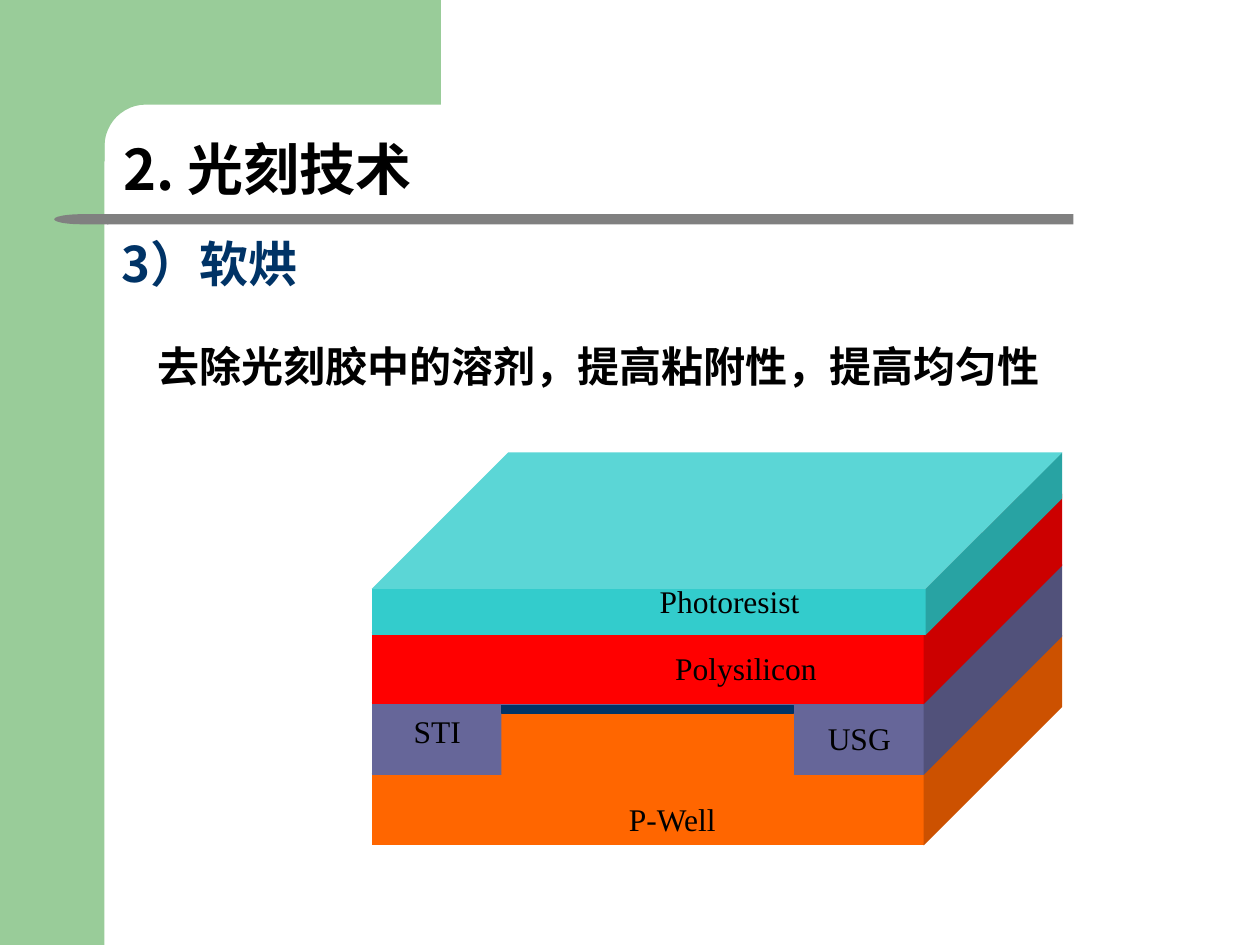
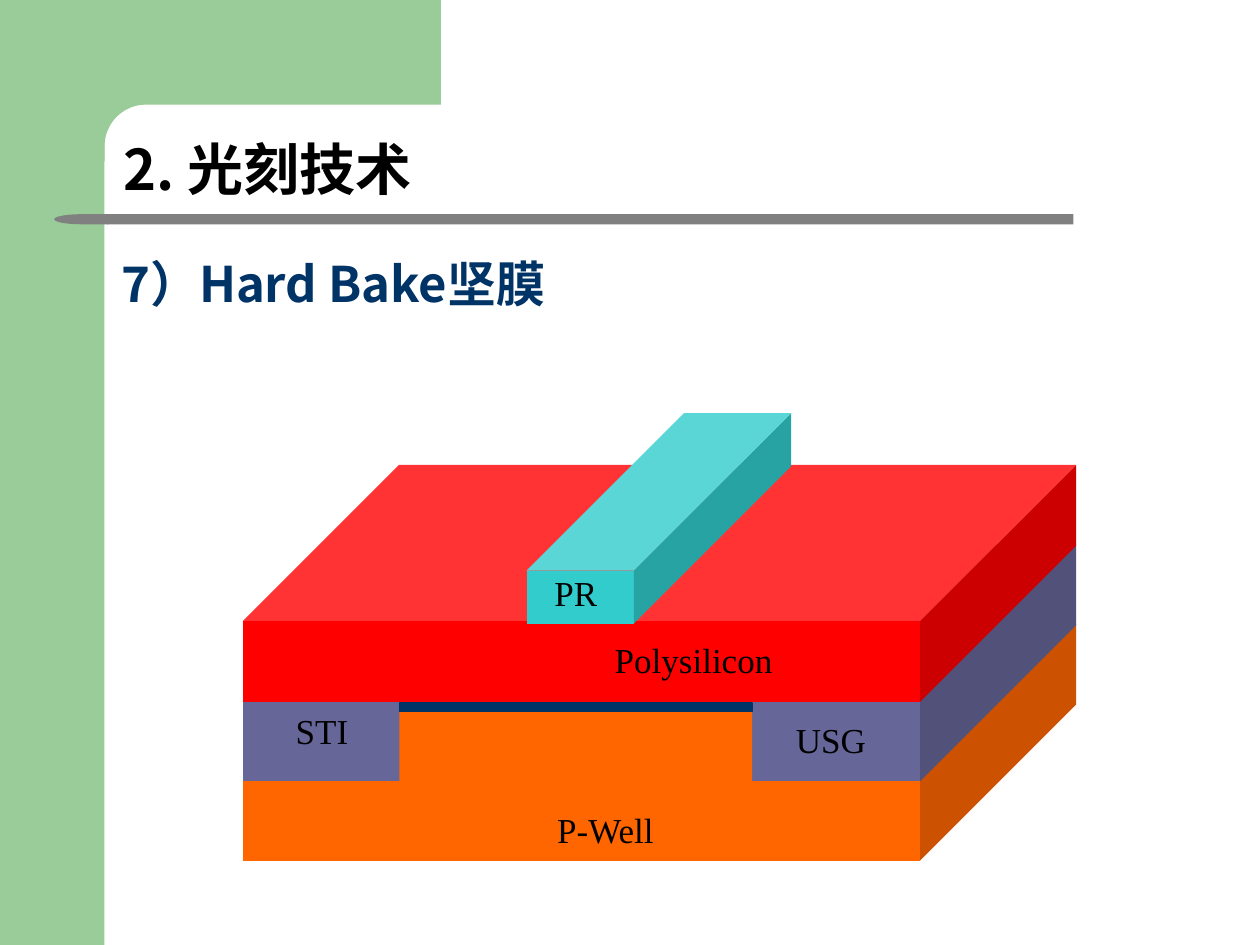
from dataclasses import dataclass
from math import cos, pi, sin

from lxml import etree
from pptx import Presentation
from pptx.dml.color import RGBColor
from pptx.enum.shapes import MSO_SHAPE
from pptx.enum.text import MSO_ANCHOR, MSO_AUTO_SIZE, PP_ALIGN
from pptx.oxml.ns import qn
from pptx.util import Inches, Pt

# Shared colours and fonts
GREEN = RGBColor(0x99, 0xCC, 0x99)
GREY = RGBColor(0x80, 0x80, 0x80)
BLACK = RGBColor(0, 0, 0)
NAVY = RGBColor(0x00, 0x33, 0x66)
WELL_ORANGE = RGBColor(0xFF, 0x66, 0x00)
OXIDE_VIOLET = RGBColor(0x66, 0x66, 0x99)
POLY_RED = RGBColor(0xFF, 0x00, 0x00)
RESIST_TEAL = RGBColor(0x33, 0xCC, 0xCC)
CHINESE_FONT = "Noto Sans CJK SC"
LABEL_FONT = "Times New Roman"

LAYER_DEPTH = 0.658
RESIST_DEPTH = 0.748


@dataclass(frozen=True)
class Box:
    left: float
    top: float
    width: float
    height: float

    def lengths(self) -> list:
        return [Inches(v) for v in (self.left, self.top, self.width, self.height)]


@dataclass(frozen=True)
class Label:
    text: str
    box: Box


@dataclass(frozen=True)
class Wafer:
    well: Box
    layer_step: float
    trench_gap_left: float
    trench_gap_width: float
    gate_oxide_height: float
    resist: Box
    label_size: int
    labels: tuple[Label, ...]


def add_solid(slide, kind, box: Box, color: RGBColor, adjustment: float | None = None):
    solid = slide.shapes.add_shape(kind, *box.lengths())
    solid.shadow.inherit = False
    solid.fill.solid()
    solid.fill.fore_color.rgb = color
    solid.line.fill.background()
    if adjustment is not None:
        solid.adjustments[0] = adjustment
    return solid


def style_paragraph(paragraph, size: int, name: str, color: RGBColor, bold: bool) -> None:
    paragraph.font.size = Pt(size)
    paragraph.font.name = name
    paragraph.font.color.rgb = color
    paragraph.font.bold = bold
    # East Asian characters need their own typeface entry
    for run in paragraph.runs:
        properties = run._r.get_or_add_rPr()
        etree.SubElement(properties, qn("a:ea")).set("typeface", name)


def add_heading(slide, text: str, box: Box, size: int, color: RGBColor) -> None:
    heading = slide.shapes.add_shape(MSO_SHAPE.ROUNDED_RECTANGLE, *box.lengths())
    heading.shadow.inherit = False
    heading.fill.background()
    heading.line.fill.background()
    heading.adjustments[0] = 0.217
    frame = heading.text_frame
    frame.word_wrap = True
    frame.vertical_anchor = MSO_ANCHOR.BOTTOM
    paragraph = frame.paragraphs[0]
    paragraph.text = text
    paragraph.alignment = PP_ALIGN.LEFT
    paragraph.line_spacing = 0.9
    style_paragraph(paragraph, size, CHINESE_FONT, color, True)


def add_centred_text(slide, label: Label, size: int, name: str, bold: bool = False) -> None:
    frame = slide.shapes.add_textbox(*label.box.lengths()).text_frame
    frame.word_wrap = True
    frame.auto_size = MSO_AUTO_SIZE.SHAPE_TO_FIT_TEXT
    paragraph = frame.paragraphs[0]
    paragraph.text = label.text
    paragraph.alignment = PP_ALIGN.CENTER
    style_paragraph(paragraph, size, name, BLACK, bold)


def add_corner(slide) -> None:
    """Green top band whose inner corner is a quarter circle."""
    center, radius, steps = 1.16, 0.33, 12
    angles = [pi / 2 * i / steps for i in range(steps + 1)]
    arc = [(center - radius * sin(a), center - radius * cos(a)) for a in angles]
    outline = [(3.5, 0), (3.5, 0.83), *arc, (0.83, 1.28), (0.5, 1.28), (0.5, 0)]
    points = [(Inches(x), Inches(y)) for x, y in outline]
    builder = slide.shapes.build_freeform(*points[0], scale=1.0)
    builder.add_line_segments(points[1:], close=True)
    corner = builder.convert_to_shape()
    corner.shadow.inherit = False
    corner.fill.solid()
    corner.fill.fore_color.rgb = GREEN
    corner.line.fill.background()


def add_base_slide(deck, subtitle: str, subtitle_box: Box):
    slide = deck.slides.add_slide(deck.slide_layouts[6])
    # Green frame
    add_solid(slide, MSO_SHAPE.RECTANGLE, Box(0, 0, 0.83, 7.5), GREEN)
    add_corner(slide)
    # Grey rule with a rounded left tip
    add_solid(slide, MSO_SHAPE.ROUNDED_RECTANGLE, Box(0.85, 1.7, 7.67, 0.08), GREY, 0)
    tip = add_solid(slide, MSO_SHAPE.FLOWCHART_DELAY, Box(0.43, 1.7, 0.43, 0.08), GREY)
    tip.rotation = 180
    # Headings
    add_heading(slide, "2. 光刻技术", Box(0.83, 0.84, 3.54, 0.87), 32, BLACK)
    add_heading(slide, subtitle, subtitle_box, 28, NAVY)
    return slide


def draw_wafer(slide, wafer: Wafer) -> None:
    well, step = wafer.well, wafer.layer_step

    def add_layer(level: int, color: RGBColor) -> None:
        box = Box(well.left, well.top - level * step, well.width, well.height)
        add_solid(slide, MSO_SHAPE.CUBE, box, color, LAYER_DEPTH)

    # Well and trench oxide
    add_layer(0, WELL_ORANGE)
    add_layer(1, OXIDE_VIOLET)
    # Well rising between the trenches, topped by the gate oxide
    gap_left, gap_width = wafer.trench_gap_left, wafer.trench_gap_width
    gap_top = well.top + step
    add_solid(slide, MSO_SHAPE.RECTANGLE, Box(gap_left, gap_top, gap_width, step), WELL_ORANGE)
    gate_oxide = add_solid(slide, MSO_SHAPE.RECTANGLE,
                           Box(gap_left, gap_top, gap_width, wafer.gate_oxide_height), NAVY)
    gate_oxide.line.color.rgb = NAVY
    gate_oxide.line.width = Pt(0.75)
    # Polysilicon and photoresist
    add_layer(2, POLY_RED)
    add_solid(slide, MSO_SHAPE.CUBE, wafer.resist, RESIST_TEAL, RESIST_DEPTH)
    for label in wafer.labels:
        add_centred_text(slide, label, wafer.label_size, LABEL_FONT)


SOFT_BAKE = Wafer(
    well=Box(2.95, 5.04, 5.48, 1.67), layer_step=0.56,
    trench_gap_left=3.98, trench_gap_width=2.32, gate_oxide_height=0.06,
    resist=Box(2.95, 3.59, 5.48, 1.45), label_size=18,
    labels=(
        Label("P-Well", Box(4.56, 6.3, 1.55, 0.3)),
        Label("USG", Box(6.37, 5.66, 0.9, 0.3)),
        Label("STI", Box(3.02, 5.6, 0.9, 0.3)),
        Label("Polysilicon", Box(4.63, 5.1, 2.58, 0.3)),
        Label("Photoresist", Box(4.5, 4.57, 2.58, 0.3)),
    ),
)
HARD_BAKE = Wafer(
    well=Box(1.93, 4.95, 6.61, 1.88), layer_step=0.63,
    trench_gap_left=3.17, trench_gap_width=2.8, gate_oxide_height=0.07,
    resist=Box(4.18, 3.28, 2.1, 1.67), label_size=20,
    labels=(
        Label("P-Well", Box(3.87, 6.37, 1.87, 0.37)),
        Label("USG", Box(6.05, 5.65, 1.09, 0.37)),
        Label("STI", Box(2.01, 5.58, 1.09, 0.37)),
        Label("Polysilicon", Box(3.95, 5.02, 3.11, 0.37)),
        Label("PR", Box(4.18, 4.49, 0.78, 0.37)),
    ),
)


def main() -> None:
    deck = Presentation()
    deck.slide_width, deck.slide_height = Inches(10), Inches(7.5)

    # Soft bake
    soft_bake = add_base_slide(deck, "3）软烘", Box(0.83, 1.86, 3.62, 0.55))
    draw_wafer(soft_bake, SOFT_BAKE)
    purpose = Label("去除光刻胶中的溶剂，提高粘附性，提高均匀性", Box(0.91, 2.65, 7.68, 0.5))
    add_centred_text(soft_bake, purpose, 24, CHINESE_FONT, bold=True)

    # Hard bake
    hard_bake = add_base_slide(deck, "7）Hard Bake坚膜", Box(0.83, 2.02, 5.2, 0.55))
    draw_wafer(hard_bake, HARD_BAKE)

    deck.save("out.pptx")


if __name__ == "__main__":
    main()
